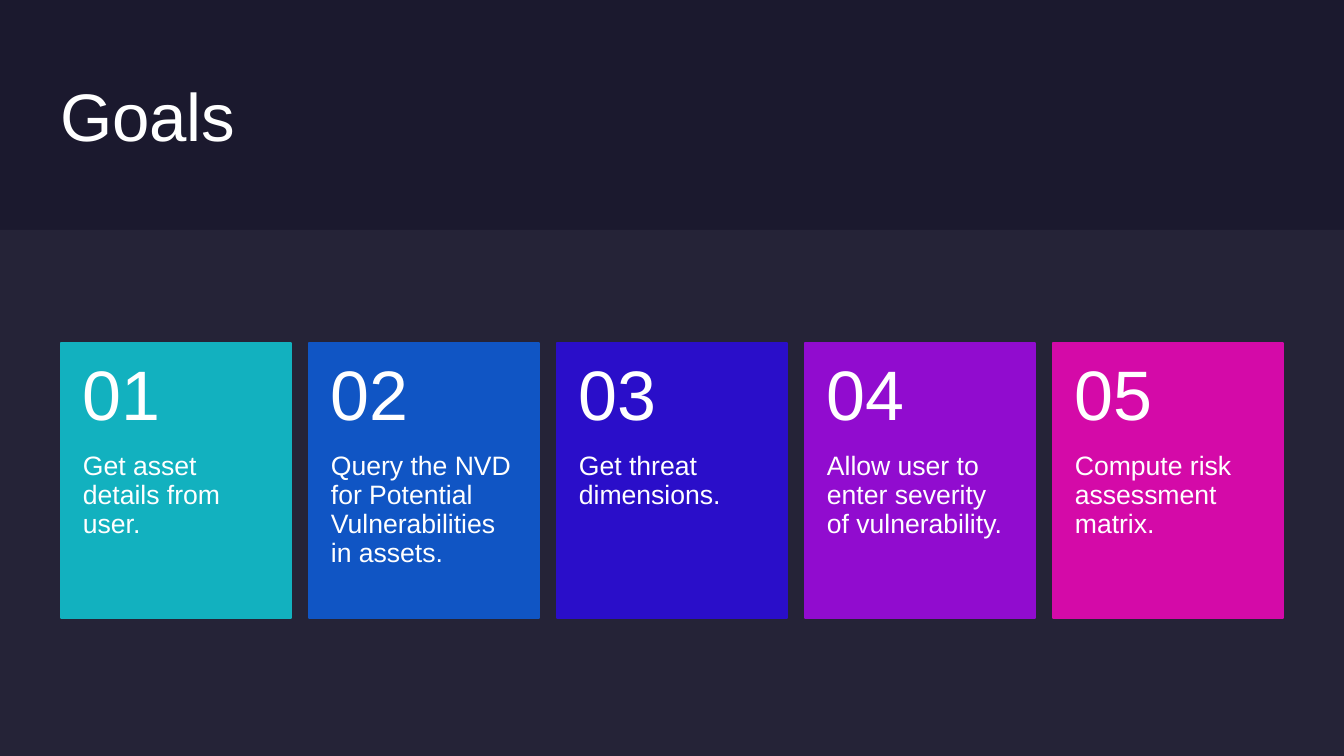
"""Build the Goals slide: a title band above five numbered, coloured cards."""
from dataclasses import dataclass

from lxml import etree
from pptx import Presentation
from pptx import util as u
from pptx.dml import color
from pptx.enum import shapes, text
from pptx.oxml import ns

EMU_PER_PX = 914400 / 100.8


@dataclass(frozen=True)
class Theme:
    font: str = "Arial"
    background: str = "1B192E"
    panel: str = "E4E3F0"
    panel_opacity: int = 5
    ink: str = "FFFFFF"
    title_size: int = 48
    number_size: int = 50
    body_size: int = 19


@dataclass(frozen=True)
class Area:
    left: int
    top: int
    width: int
    height: int

    def emu(self) -> tuple[int, ...]:
        return tuple(px(n) for n in (self.left, self.top, self.width, self.height))


@dataclass(frozen=True)
class Goal:
    wording: str
    fill: str


THEME = Theme()
SLIDE = Area(0, 0, 1344, 756)
PANEL = Area(0, 230, 1344, 526)
TITLE = Area(60, 60, 805, 109)
FIRST_CARD = Area(61, 343, 230, 275)
CARD_PITCH = 248
NUMBER_HEIGHT = 110
GOALS = (
    Goal("Get asset details from user.", "12B1BF"),
    Goal("Query the NVD for Potential Vulnerabilities in assets.", "1055C4"),
    Goal("Get threat dimensions.", "2A0EC9"),
    Goal("Allow user to enter severity of vulnerability.", "910CCF"),
    Goal("Compute risk assessment matrix.", "D40AA8"),
)


def px(length: int) -> int:
    return u.Emu(round(length * EMU_PER_PX))


def rgb(code: str) -> color.RGBColor:
    return color.RGBColor.from_string(code)


def add_rect(parent, area: Area, fill: str, outlined: bool = False, opacity: int = 100):
    box = parent.shapes.add_shape(shapes.MSO_SHAPE.RECTANGLE, *area.emu())
    box.shadow.inherit = False
    box.fill.solid()
    box.fill.fore_color.rgb = rgb(fill)
    if opacity < 100:
        tint = box.fill._xPr.find(".//" + ns.qn("a:srgbClr"))
        etree.SubElement(tint, ns.qn("a:alpha"), val=str(opacity * 1000))
    if outlined:
        box.line.color.rgb = rgb(fill)
        box.line.width = u.Pt(1)
    else:
        box.line.fill.background()
    return box


def add_text(parent, area: Area, wording: str, *, size: int, middle: bool = False,
             insets: tuple[int, int, int, int] = (0, 0, 0, 0), spacing: float = 1.0):
    box = parent.shapes.add_textbox(*area.emu())
    frame = box.text_frame
    frame.word_wrap = True
    frame.vertical_anchor = text.MSO_ANCHOR.MIDDLE if middle else text.MSO_ANCHOR.TOP
    (frame.margin_left, frame.margin_top,
     frame.margin_right, frame.margin_bottom) = (px(n) for n in insets)
    para = frame.paragraphs[0]
    para.line_spacing = spacing
    span = para.add_run()
    span.text = wording
    span.font.name = THEME.font
    span.font.size = u.Pt(size)
    span.font.color.rgb = rgb(THEME.ink)
    return box


def add_card(page, index: int, goal: Goal) -> None:
    left = FIRST_CARD.left + index * CARD_PITCH
    top, width, height = FIRST_CARD.top, FIRST_CARD.width, FIRST_CARD.height
    card = page.shapes.add_group_shape()
    add_rect(card, Area(left, top, width, height), goal.fill, outlined=True)
    add_text(card, Area(left, top + NUMBER_HEIGHT, width, height - NUMBER_HEIGHT),
             goal.wording, size=THEME.body_size, insets=(22, 0, 22, 36), spacing=0.9)
    add_text(card, Area(left, top, width, NUMBER_HEIGHT), f"{index + 1:02}",
             size=THEME.number_size, middle=True, insets=(22, 18, 22, 18), spacing=0.9)


def main() -> None:
    deck = Presentation()
    deck.slide_width, deck.slide_height = px(SLIDE.width), px(SLIDE.height)
    page = deck.slides.add_slide(deck.slide_layouts[6])
    page.background.fill.solid()
    page.background.fill.fore_color.rgb = rgb(THEME.background)
    add_rect(page, SLIDE, THEME.background)
    add_text(page, TITLE, "Goals", size=THEME.title_size, middle=True)
    add_rect(page, PANEL, THEME.panel, opacity=THEME.panel_opacity)
    for index, goal in enumerate(GOALS):
        add_card(page, index, goal)
    deck.save("out.pptx")


if __name__ == "__main__":
    main()
